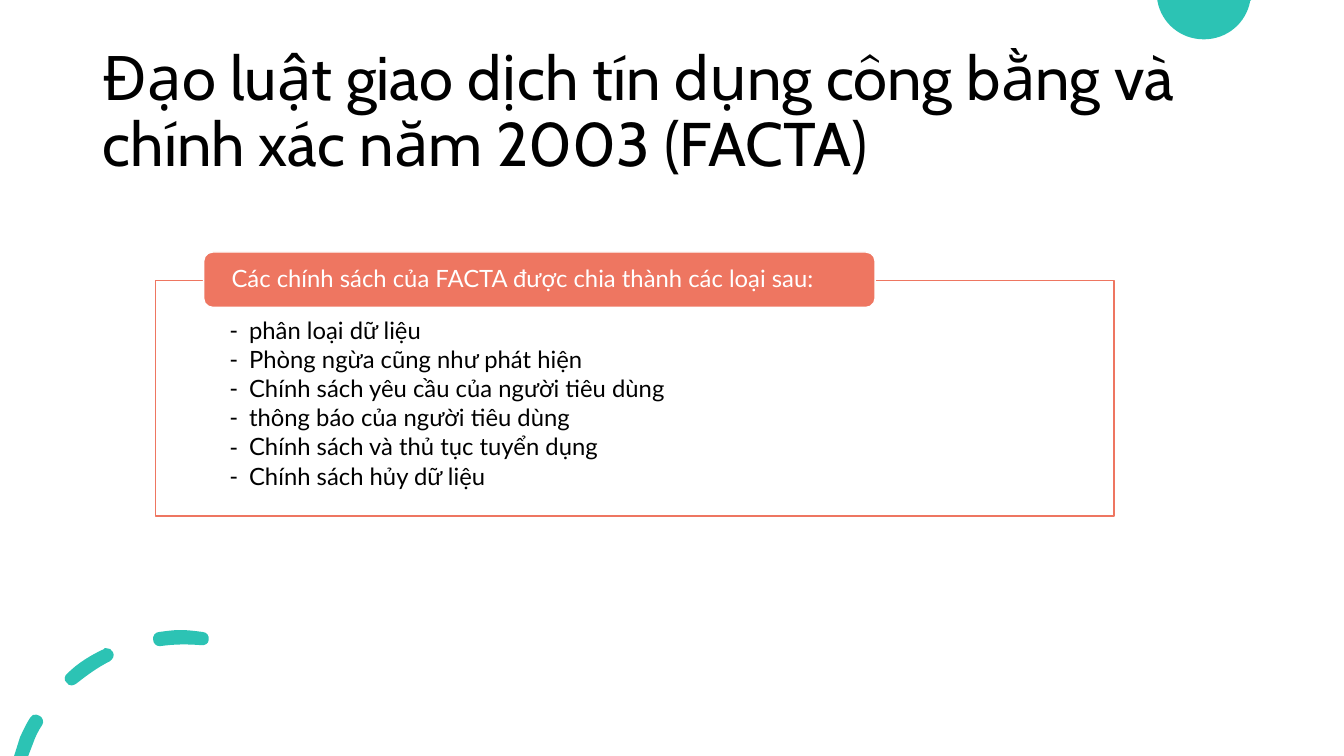
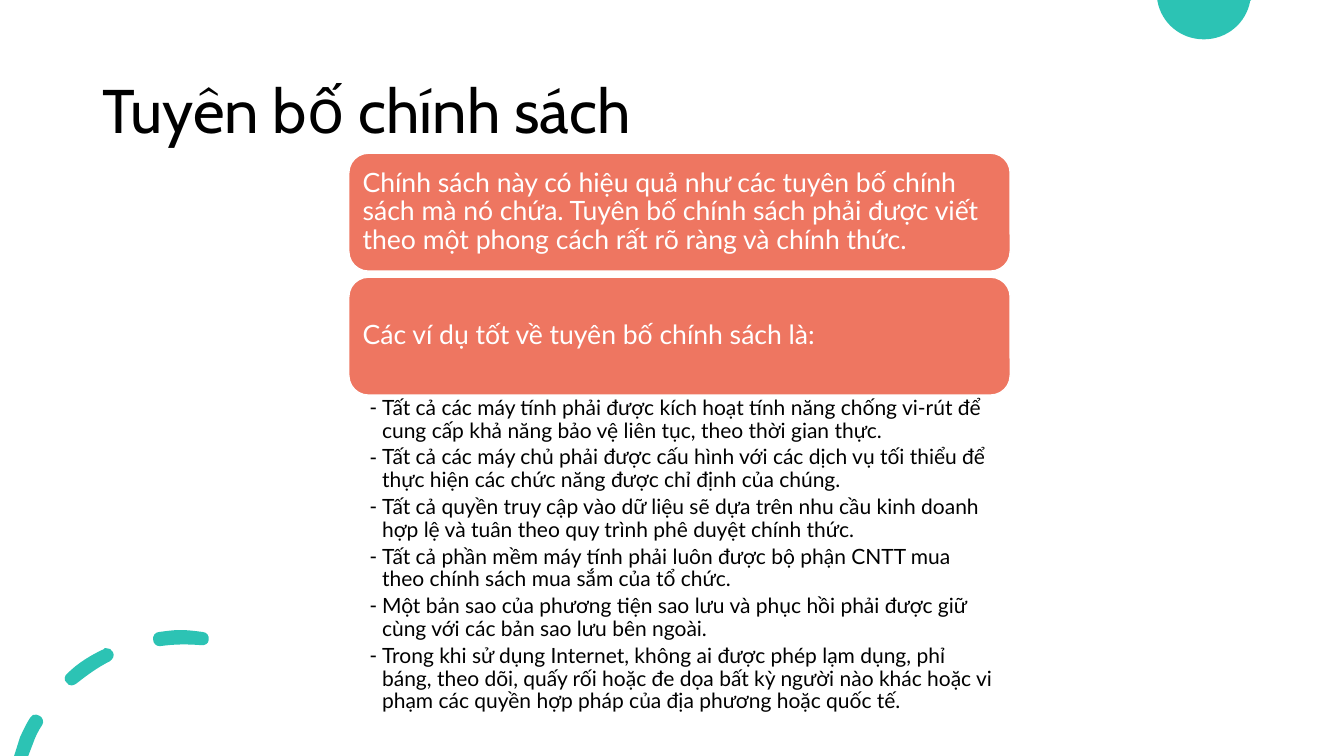
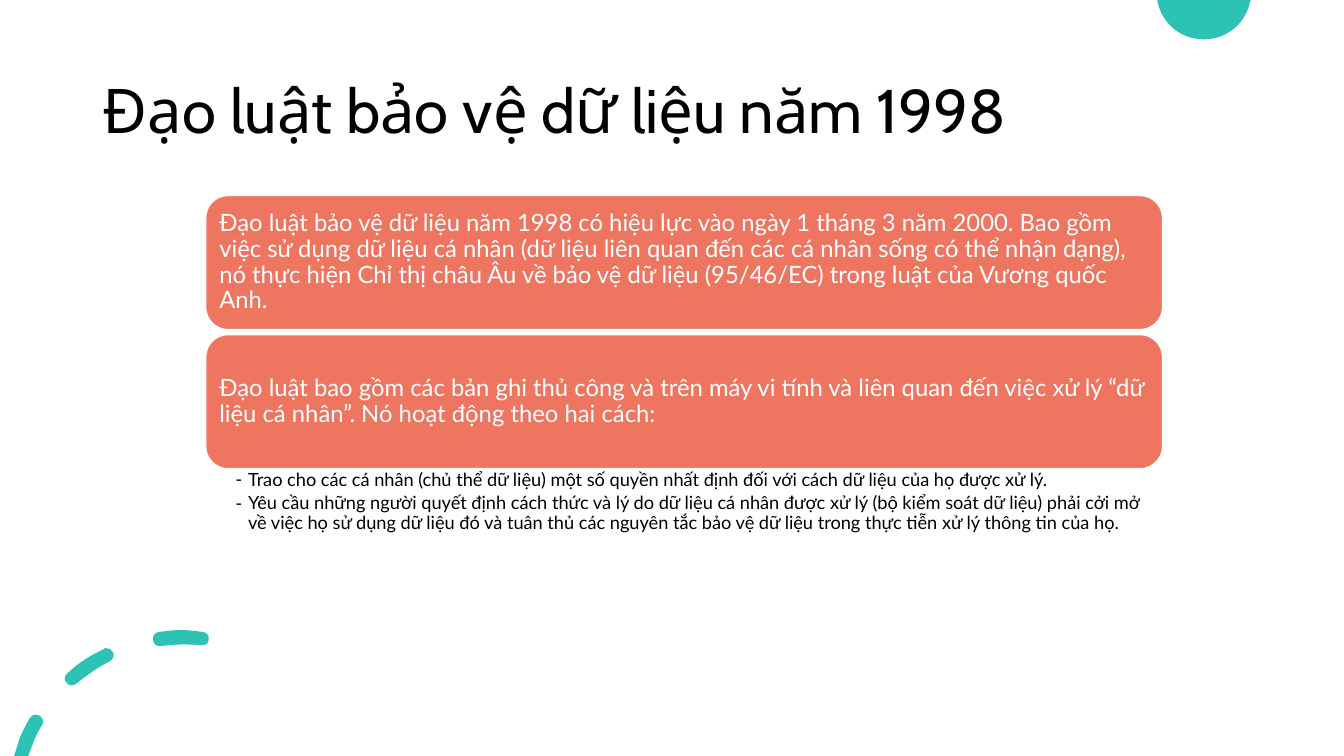
"""Builds three slides on data protection laws and policy statements."""
from lxml.etree import Element, SubElement
from pptx import Presentation
from pptx.dml.color import RGBColor
from pptx.enum.shapes import MSO_SHAPE
from pptx.enum.text import MSO_ANCHOR, MSO_AUTO_SIZE, PP_ALIGN
from pptx.oxml.ns import qn
from pptx.util import Inches, Pt

COLORS = {"teal": "2CC3B4", "coral": "EE7661", "white": "FFFFFF", "black": "000000"}
TITLE_FONT, BODY_FONT = "Cabin", "Lato"

CIRCLE = [
    [(11.48, 0), (12.41, 0), (12.4, 0.01),
     (12.36, 0.23, 12.17, 0.39, 11.94, 0.39), (11.71, 0.39, 11.52, 0.23, 11.48, 0.01)],
]
DASHES = [
    [(0.36, 7.09), (0.34, 7.08, 0.31, 7.1, 0.3, 7.12), (0.26, 7.18, 0.23, 7.25, 0.2, 7.31),
     (0.14, 7.5), (0.28, 7.5), (0.33, 7.37), (0.35, 7.31, 0.38, 7.25, 0.42, 7.19),
     (0.44, 7.16, 0.42, 7.11, 0.39, 7.1), (0.38, 7.09, 0.37, 7.09, 0.36, 7.09)],
    [(1.05, 6.43), (1.04, 6.43, 1.03, 6.43, 1.03, 6.44), (0.9, 6.5, 0.77, 6.58, 0.67, 6.68),
     (0.64, 6.7, 0.63, 6.75, 0.66, 6.77), (0.67, 6.79, 0.69, 6.8, 0.71, 6.8),
     (0.73, 6.8, 0.74, 6.79, 0.76, 6.78), (0.86, 6.7, 0.97, 6.62, 1.09, 6.56),
     (1.12, 6.54, 1.14, 6.5, 1.12, 6.47), (1.11, 6.44, 1.08, 6.43, 1.05, 6.43)],
    [(1.79, 6.25), (1.72, 6.25, 1.65, 6.26, 1.58, 6.27), (1.54, 6.27, 1.51, 6.31, 1.52, 6.35),
     (1.52, 6.38, 1.55, 6.41, 1.58, 6.41), (1.59, 6.41, 1.59, 6.41, 1.59, 6.41),
     (1.73, 6.39, 1.86, 6.39, 1.99, 6.4), (2.03, 6.41, 2.07, 6.38, 2.07, 6.35),
     (2.08, 6.31, 2.05, 6.27, 2.01, 6.27), (1.94, 6.26, 1.86, 6.25, 1.79, 6.25)],
]


def rgb(name):
    return RGBColor.from_string(COLORS[name])


class PolicyDeck:
    def __init__(self):
        self.deck = Presentation()
        self.deck.slide_width, self.deck.slide_height = Inches(13.33), Inches(7.5)
        self.layout = self.deck.slide_layouts[1]
        self.slide = None

    def start_slide(self, heading):
        self.slide = self.deck.slides.add_slide(self.layout)
        if len(self.deck.slides) == 1:
            for number, contours in enumerate((CIRCLE, DASHES)):
                self.add_ornament(contours, 20 + number)
        title = self.slide.shapes.title
        self.place(title, 0.92, 0.4, 11.5, 1.45)
        frame = title.text_frame
        frame.text = heading
        frame.auto_size = MSO_AUTO_SIZE.NONE
        frame.vertical_anchor = MSO_ANCHOR.MIDDLE
        self.style(frame.paragraphs[0], TITLE_FONT, 44, "black")

    def add_ornament(self, contours, number):
        first, *others = [
            [tuple(map(Inches, segment[-2:])) for segment in contour] for contour in contours]
        builder = self.slide.shapes.build_freeform(*first[0], scale=1.0)
        builder.add_line_segments(first[1:])
        for points in others:
            builder.move_to(*points[0])
            builder.add_line_segments(points[1:])
        ornament = builder.convert_to_shape()
        self.bend(ornament, contours)
        self.paint(ornament, "teal")
        ornament.element.nvSpPr.cNvPr.id = number
        self.layout.shapes.element.append(ornament.element)

    def add_banner(self, text, left, top, width, height, size, inset_x, inset_y):
        banner = self.slide.shapes.add_shape(
            MSO_SHAPE.ROUNDED_RECTANGLE, *map(Inches, (left, top, width, height)))
        self.paint(banner, "coral", "white")
        frame = banner.text_frame
        frame.text = text
        frame.word_wrap = True
        frame.vertical_anchor = MSO_ANCHOR.MIDDLE
        self.inset(frame, inset_x, inset_y, inset_x, inset_y)
        self.style(frame.paragraphs[0], BODY_FONT, size, "white")

    def add_banners(self, texts, left, top, width, height, pitch, size, inset):
        for row, text in enumerate(texts):
            self.add_banner(text, left, top + row * pitch, width, height, size, inset, inset)

    def add_list(self, items, box, insets, size, indent, gap, framed=False):
        body = self.slide.placeholders[1]
        self.place(body, *box)
        if framed:
            body.fill.solid()
            body.fill.fore_color.rgb = rgb("white")
            body.line.color.rgb = rgb("coral")
            body.line.width = Pt(1)
        frame = body.text_frame
        frame.text = "\n".join(items)
        frame.auto_size = MSO_AUTO_SIZE.NONE
        frame.vertical_anchor = MSO_ANCHOR.TOP
        self.inset(frame, *insets)
        for item in frame.paragraphs:
            item.level = 1
            properties = item._p.get_or_add_pPr()
            properties.set("marL", str(Inches(indent)))
            properties.set("indent", str(-Inches(indent)))
            SubElement(properties, qn("a:buChar")).set("char", "-")
            self.style(item, BODY_FONT, size, "black")
            item.space_after = Pt(round(size * gap, 1))

    def save(self):
        self.deck.save("out.pptx")

    @staticmethod
    def bend(shape, contours):
        segments = [segment for contour in contours for segment in contour[1:]]
        edges = list(shape.element.iter(qn("a:lnTo")))
        for edge, segment in zip(edges, segments):
            if len(segment) == 6:
                edge.tag = qn("a:cubicBezTo")
                for slot in (0, 1):
                    x, y = segment[2 * slot:2 * slot + 2]
                    handle = Element(qn("a:pt"))
                    handle.set("x", str(Inches(x) - shape.left))
                    handle.set("y", str(Inches(y) - shape.top))
                    edge.insert(slot, handle)

    @staticmethod
    def place(shape, left, top, width, height):
        shape.left, shape.top = Inches(left), Inches(top)
        shape.width, shape.height = Inches(width), Inches(height)

    @staticmethod
    def inset(frame, left, top, right, bottom):
        frame.margin_left, frame.margin_top = Inches(left), Inches(top)
        frame.margin_right, frame.margin_bottom = Inches(right), Inches(bottom)

    @staticmethod
    def paint(shape, fill, line=None):
        shape.shadow.inherit = False
        shape.fill.solid()
        shape.fill.fore_color.rgb = rgb(fill)
        if line:
            shape.line.color.rgb = rgb(line)
            shape.line.width = Pt(1)
        else:
            shape.line.fill.background()

    @staticmethod
    def style(paragraph, font, size, color):
        paragraph.alignment = PP_ALIGN.LEFT
        paragraph.line_spacing = 0.9
        paragraph.space_before = Pt(0)
        paragraph.font.name = font
        paragraph.font.size = Pt(size)
        paragraph.font.color.rgb = rgb(color)


def main():
    deck = PolicyDeck()

    deck.start_slide("Đạo luật giao dịch tín dụng công bằng và chính xác năm 2003 (FACTA)")
    deck.add_list([
        "phân loại dữ liệu",
        "Phòng ngừa cũng như phát hiện",
        "Chính sách yêu cầu của người tiêu dùng",
        "thông báo của người tiêu dùng",
        "Chính sách và thủ tục tuyển dụng",
        "Chính sách hủy dữ liệu",
    ], (1.54, 2.78, 9.51, 2.34), (0.74, 0.38, 0.74, 0.13), 17, 0.19, 0.15, framed=True)
    deck.add_banner("Các chính sách của FACTA được chia thành các loại sau:",
                    2.02, 2.5, 6.66, 0.55, 17, 0.25, 0)

    deck.start_slide("Tuyên bố chính sách")
    deck.add_banners([
        "Chính sách này có hiệu quả như các tuyên bố chính sách mà nó chứa. Tuyên bố chính sách "
        "phải được viết theo một phong cách rất rõ ràng và chính thức.",
        "Các ví dụ tốt về tuyên bố chính sách là:",
    ], 3.46, 1.52, 6.56, 1.17, 1.23, 19, 0.08)
    deck.add_list([
        "Tất cả các máy tính phải được kích hoạt tính năng chống vi-rút để cung cấp khả năng "
        "bảo vệ liên tục, theo thời gian thực.",
        "Tất cả các máy chủ phải được cấu hình với các dịch vụ tối thiểu để thực hiện các "
        "chức năng được chỉ định của chúng.",
        "Tất cả quyền truy cập vào dữ liệu sẽ dựa trên nhu cầu kinh doanh hợp lệ và tuân theo "
        "quy trình phê duyệt chính thức.",
        "Tất cả phần mềm máy tính phải luôn được bộ phận CNTT mua theo chính sách mua sắm "
        "của tổ chức.",
        "Một bản sao của phương tiện sao lưu và phục hồi phải được giữ cùng với các bản sao "
        "lưu bên ngoài.",
        "Trong khi sử dụng Internet, không ai được phép lạm dụng, phỉ báng, theo dõi, quấy rối "
        "hoặc đe dọa bất kỳ người nào khác hoặc vi phạm các quyền hợp pháp của địa phương "
        "hoặc quốc tế.",
    ], (3.46, 3.92, 6.56, 3.35), (0.21, 0.02, 0.15, 0.03), 15, 0.12, 0.2)

    deck.start_slide("Đạo luật bảo vệ dữ liệu năm 1998")
    deck.add_banners([
        "Đạo luật bảo vệ dữ liệu năm 1998 có hiệu lực vào ngày 1 tháng 3 năm 2000. Bao gồm việc "
        "sử dụng dữ liệu cá nhân (dữ liệu liên quan đến các cá nhân sống có thể nhận dạng), nó "
        "thực hiện Chỉ thị châu Âu về bảo vệ dữ liệu (95/46/EC) trong luật của Vương quốc Anh.",
        "Đạo luật bao gồm các bản ghi thủ công và trên máy vi tính và liên quan đến việc xử lý "
        "“dữ liệu cá nhân”. Nó hoạt động theo hai cách:",
    ], 2.04, 1.94, 9.49, 1.33, 1.38, 17, 0.07)
    deck.add_list([
        "Trao cho các cá nhân (chủ thể dữ liệu) một số quyền nhất định đối với cách dữ liệu của "
        "họ được xử lý.",
        "Yêu cầu những người quyết định cách thức và lý do dữ liệu cá nhân được xử lý (bộ kiểm "
        "soát dữ liệu) phải cởi mở về việc họ sử dụng dữ liệu đó và tuân thủ các nguyên tắc bảo "
        "vệ dữ liệu trong thực tiễn xử lý thông tin của họ.",
    ], (2.04, 4.64, 9.49, 0.9), (0.3, 0.03, 0.13, 0.02), 13, 0.12, 0.2)

    deck.save()


if __name__ == "__main__":
    main()
